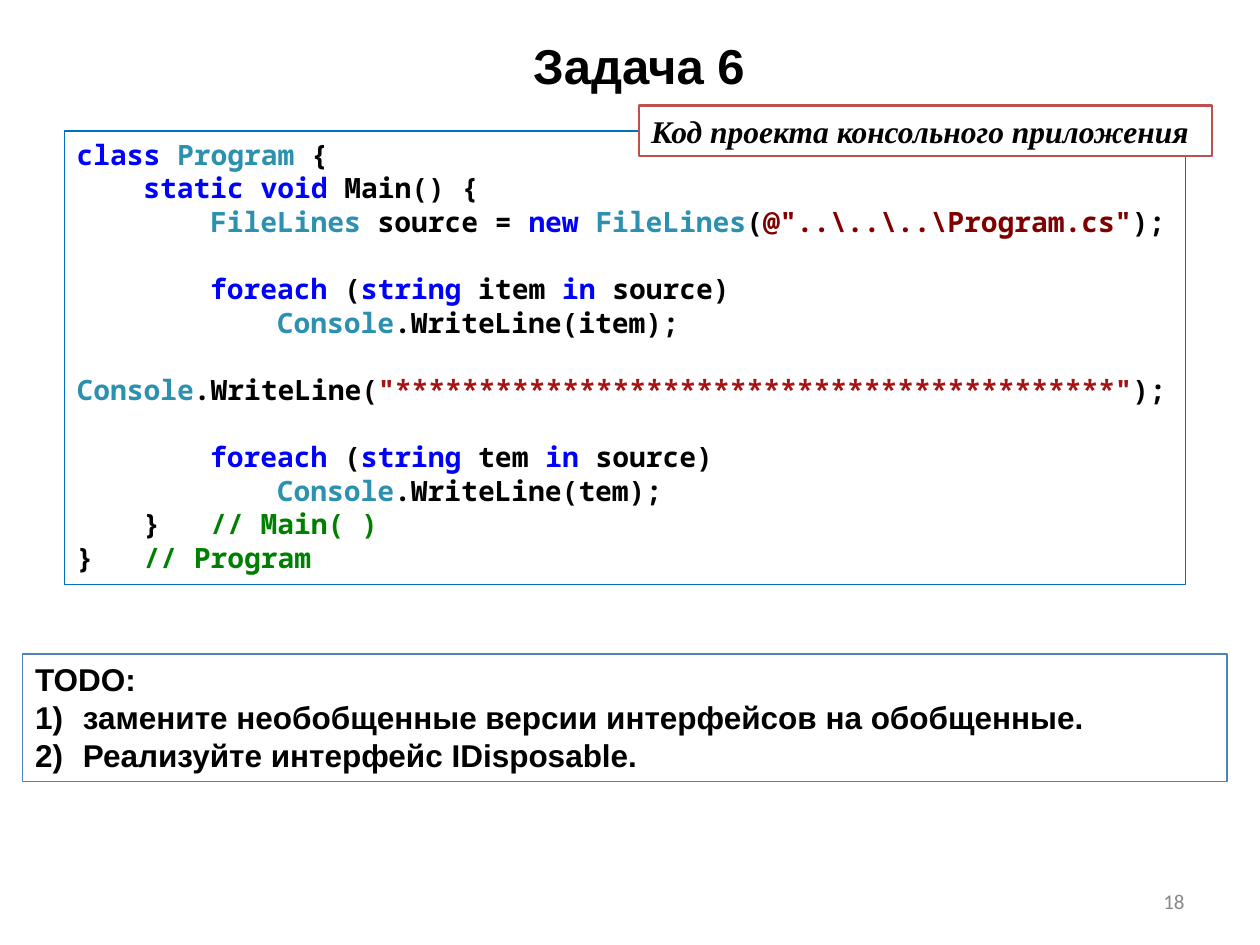
"""Build the slide for task 6: a code listing, its caption and a to-do list."""
from pptx import Presentation
from pptx.dml.color import RGBColor
from pptx.enum.shapes import MSO_SHAPE
from pptx.enum.text import MSO_ANCHOR, PP_ALIGN
from pptx.util import Inches, Pt
from lxml.etree import SubElement
from pptx.oxml.ns import qn

TITLE = "Задача 6"
CAPTION = "Код проекта консольного приложения"
TODO_HEADING = "TODO:"
TODO_ITEMS = [
    "замените необобщенные версии интерфейсов на обобщенные.",
    "Реализуйте интерфейс IDisposable.",
]
PAGE_NUMBER = "18"


def loop_lines(name):
    return [
        (2, True, [("keyword", "foreach"), ("plain", " ("), ("keyword", "string"),
                   ("plain", f" {name} "), ("keyword", "in"), ("plain", " source)")]),
        (3, False, [("type", "Console"), ("plain", f".WriteLine({name});")]),
    ]


CODE = [
    (0, False, [("keyword", "class "), ("type", "Program"), ("plain", " {")]),
    (1, False, [("keyword", "static void"), ("plain", " Main() {")]),
    (2, False, [("type", "FileLines"), ("plain", " source = "), ("keyword", "new "),
                ("type", "FileLines"), ("plain", "("),
                ("verbatim", r'@"..\..\..\Program.cs"'), ("plain", ");")]),
    *loop_lines("item"),
    (0, True, [("type", "Console"), ("plain", ".WriteLine("),
               ("string", '"' + "*" * 43 + '"'), ("plain", ");")]),
    *loop_lines("tem"),
    (1, False, [("plain", "}   "), ("comment", "// Main( )")]),
    (0, False, [("plain", "}   "), ("comment", "// Program")]),
]

THEME = {
    "colors": {
        "plain": "000000", "keyword": "0000FF", "type": "2B91AF",
        "verbatim": "800000", "string": "A31515", "comment": "008000",
        "number": "898989", "paper": "FFFFFF",
        "code_line": "0070C0", "caption_line": "C0504D", "todo_line": "4F81BD",
    },
    "fonts": {
        "title": ("Arial", 28, True, False),
        "code": ("Noto Sans Mono", 16, True, False),
        "caption": ("Times New Roman", 18, True, True),
        "todo": ("Arial", 18, True, False),
        "number": ("Calibri", 12, False, False),
    },
}
CODE_INDENT = 0.53
CODE_GAP = 19.2
LIST_INDENT = 0.38


def color(name):
    return RGBColor.from_string(THEME["colors"][name])


def style(para, role, color_name="plain"):
    for span in para.runs:
        font = span.font
        font.name, size, font.bold, font.italic = THEME["fonts"][role]
        font.size = Pt(size)
        font.color.rgb = color(color_name)


def place(shape, left, top, width, height):
    shape.left, shape.top = Inches(left), Inches(top)
    shape.width, shape.height = Inches(width), Inches(height)


def add_frame(page, area, line, weight, fill=None):
    box = page.shapes.add_shape(MSO_SHAPE.RECTANGLE, *map(Inches, area))
    box.shadow.inherit = False
    if fill:
        box.fill.solid()
        box.fill.fore_color.rgb = color(fill)
    else:
        box.fill.background()
    box.line.color.rgb = color(line)
    box.line.width = Pt(weight)
    frame = box.text_frame
    frame.word_wrap = True
    frame.vertical_anchor = MSO_ANCHOR.TOP
    return frame


def add_paragraphs(frame, count):
    for _ in range(count - 1):
        frame.add_paragraph()
    for para in frame.paragraphs:
        para.alignment = PP_ALIGN.LEFT
    return frame.paragraphs


def set_indent(para, left, first=0):
    properties = para._p.get_or_add_pPr()
    properties.set("marL", str(Inches(left)))
    properties.set("indent", str(Inches(first)))
    return properties


def add_title(page):
    title = page.shapes.title
    place(title, 0.57, 0.21, 9, 0.61)
    frame = title.text_frame
    frame.text = TITLE
    frame.vertical_anchor = MSO_ANCHOR.MIDDLE
    frame.paragraphs[0].alignment = PP_ALIGN.CENTER
    style(frame.paragraphs[0], "title")


def add_code(page):
    frame = add_frame(page, (0.51, 1.04, 8.9, 3.6), "code_line", 0.75)
    for para, (level, gap, spans) in zip(add_paragraphs(frame, len(CODE)), CODE):
        set_indent(para, level * CODE_INDENT)
        if gap:
            para.space_before = Pt(CODE_GAP)
        for kind, text in spans:
            para.add_run().text = text
        style(para, "code")
        for span, (kind, _) in zip(para.runs, spans):
            span.font.color.rgb = color(kind)


def add_caption(page):
    frame = add_frame(page, (5.07, 0.84, 4.55, 0.4), "caption_line", 1.5, "paper")
    frame.word_wrap = False
    para = add_paragraphs(frame, 1)[0]
    para.text = CAPTION
    style(para, "caption")


def add_todo(page):
    frame = add_frame(page, (0.18, 5.19, 9.56, 1.01), "todo_line", 0.75)
    lines = [TODO_HEADING, *TODO_ITEMS]
    for index, (para, text) in enumerate(zip(add_paragraphs(frame, len(lines)), lines)):
        para.text = text
        style(para, "todo")
        if index:
            properties = set_indent(para, LIST_INDENT, -LIST_INDENT)
            SubElement(properties, qn("a:buAutoNum"), type="arabicParenR")


def add_page_number(page):
    box = page.shapes.add_textbox(*map(Inches, (7.17, 6.95, 2.33, 0.4)))
    frame = box.text_frame
    frame.word_wrap = True
    frame.vertical_anchor = MSO_ANCHOR.MIDDLE
    frame.text = PAGE_NUMBER
    frame.paragraphs[0].alignment = PP_ALIGN.RIGHT
    style(frame.paragraphs[0], "number", "number")


def main():
    deck = Presentation()
    deck.slide_width, deck.slide_height = Inches(10), Inches(7.5)
    page = deck.slides.add_slide(deck.slide_layouts[5])
    add_title(page)
    add_code(page)
    add_caption(page)
    add_page_number(page)
    add_todo(page)
    deck.save("out.pptx")


if __name__ == "__main__":
    main()
